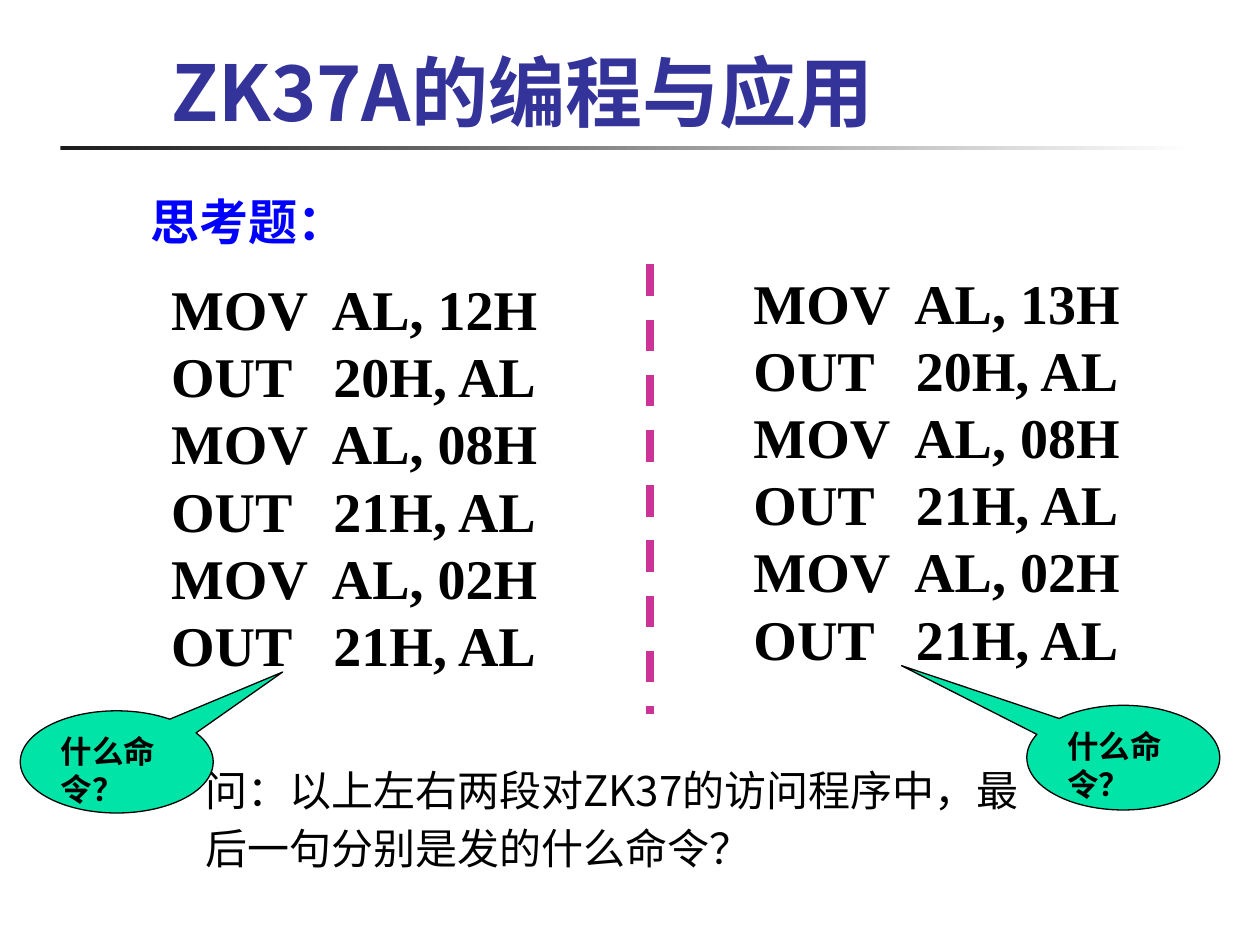
from pptx import Presentation
from pptx.dml.color import RGBColor
from pptx.enum import dml, shapes, text
from pptx.oxml.ns import qn
from pptx.util import Cm, Pt
from lxml import etree

SANS, SERIF, CALLOUT_FONT = "Noto Sans CJK SC", "Times New Roman", "Arial"
BLACK = "000000"

# lines, (left, top, width, height) in cm, size, font, colour, bold, wrap
TITLE = (["ZK37A的编程与应用"], (3.2, 0.56, 21.64, 2.54), 44, SANS, "333399", True, True)
HEADING = (["思考题："], (2.79, 3.73, 4.65, 1.45), 28, SANS, "0000FF", True, True)
QUESTION = (["问：以上左右两段对ZK37的访问程序中，最后一句分别是发的什么命令？"],
            (3.89, 15.14, 17.32, 2.59), 24, SANS, BLACK, False, True)

COMMON_CODE = ["OUT   20H, AL", "MOV  AL, 08H", "OUT   21H, AL",
               "MOV  AL, 02H", "OUT   21H, AL"]
CODE_COLUMNS = [  # first line, left, top
    ("MOV  AL, 12H", 3.2, 5.41),
    ("MOV  AL, 13H", 14.94, 5.28),
]
CALLOUT_TEXT = "什么命令？"
CALLOUTS = [  # box, pointer offset
    ((0.41, 14.33, 3.89, 2.06), (0.86, -0.88)),
    ((20.7, 14.22, 3.89, 2.11), (-1.15, -0.88)),
]


def color(value):
    return RGBColor.from_string(value)


def write(frame, lines, size, font, font_color, bold, wrap=True):
    frame.word_wrap = wrap
    for index, line in enumerate(lines):
        paragraph = frame.paragraphs[0] if index == 0 else frame.add_paragraph()
        paragraph.text = line
        paragraph.alignment = text.PP_ALIGN.LEFT
        paragraph.font.size = Pt(size)
        paragraph.font.bold = bold
        paragraph.font.color.rgb = color(font_color)
        paragraph.font.name = font
        # East Asian characters take their own typeface element
        properties = paragraph._p.pPr.find(qn("a:defRPr"))
        etree.SubElement(properties, qn("a:ea")).set("typeface", SANS)


def add_text(slide, lines, box, *style):
    shape = slide.shapes.add_textbox(*map(Cm, box))
    write(shape.text_frame, lines, *style)
    return shape


def add_title_rule(slide):
    rule = slide.shapes.add_shape(shapes.MSO_SHAPE.RECTANGLE,
                                  Cm(1.22), Cm(2.95), Cm(22.86), Cm(0.08))
    rule.shadow.inherit = False
    rule.line.fill.background()
    rule.fill.gradient()
    rule.fill.gradient_angle = 0
    for stop, position, value in zip(rule.fill.gradient_stops, (0, 1), ("1C1C1C", "FFFFFF")):
        stop.position = position
        stop.color.rgb = color(value)


def add_divider(slide):
    divider = slide.shapes.add_connector(shapes.MSO_CONNECTOR.STRAIGHT,
                                         Cm(13.11), Cm(5.33), Cm(13.11), Cm(14.4))
    divider.line.color.rgb = color("CC3399")
    divider.line.width = Pt(4.5)
    divider.line.dash_style = dml.MSO_LINE.DASH
    etree.SubElement(divider._element.spPr, qn("a:effectLst"))


def add_callout(slide, box, pointer):
    callout = slide.shapes.add_shape(shapes.MSO_SHAPE.OVAL_CALLOUT, *map(Cm, box))
    callout.shadow.inherit = False
    callout.adjustments[0], callout.adjustments[1] = pointer
    callout.fill.solid()
    callout.fill.fore_color.rgb = color("00E4A8")
    callout.line.color.rgb = color(BLACK)
    callout.line.width = Pt(0.75)
    callout.text_frame.vertical_anchor = text.MSO_ANCHOR.TOP
    write(callout.text_frame, [CALLOUT_TEXT], 18, CALLOUT_FONT, BLACK, True)


def main():
    presentation = Presentation()
    presentation.slide_width, presentation.slide_height = Cm(25.4), Cm(19.05)
    slide = presentation.slides.add_slide(presentation.slide_layouts[6])

    add_title_rule(slide)
    add_text(slide, *HEADING)
    for first_line, left, top in CODE_COLUMNS:
        add_text(slide, [first_line] + COMMON_CODE, (left, top, 7.98, 8.38),
                 32, SERIF, BLACK, True, False)
    add_divider(slide)
    question = add_text(slide, *QUESTION)
    question.text_frame.paragraphs[0].line_spacing = 1.15
    for box, pointer in CALLOUTS:
        add_callout(slide, box, pointer)
    title = add_text(slide, *TITLE)
    title.text_frame.vertical_anchor = text.MSO_ANCHOR.MIDDLE

    presentation.save("out.pptx")


if __name__ == "__main__":
    main()
